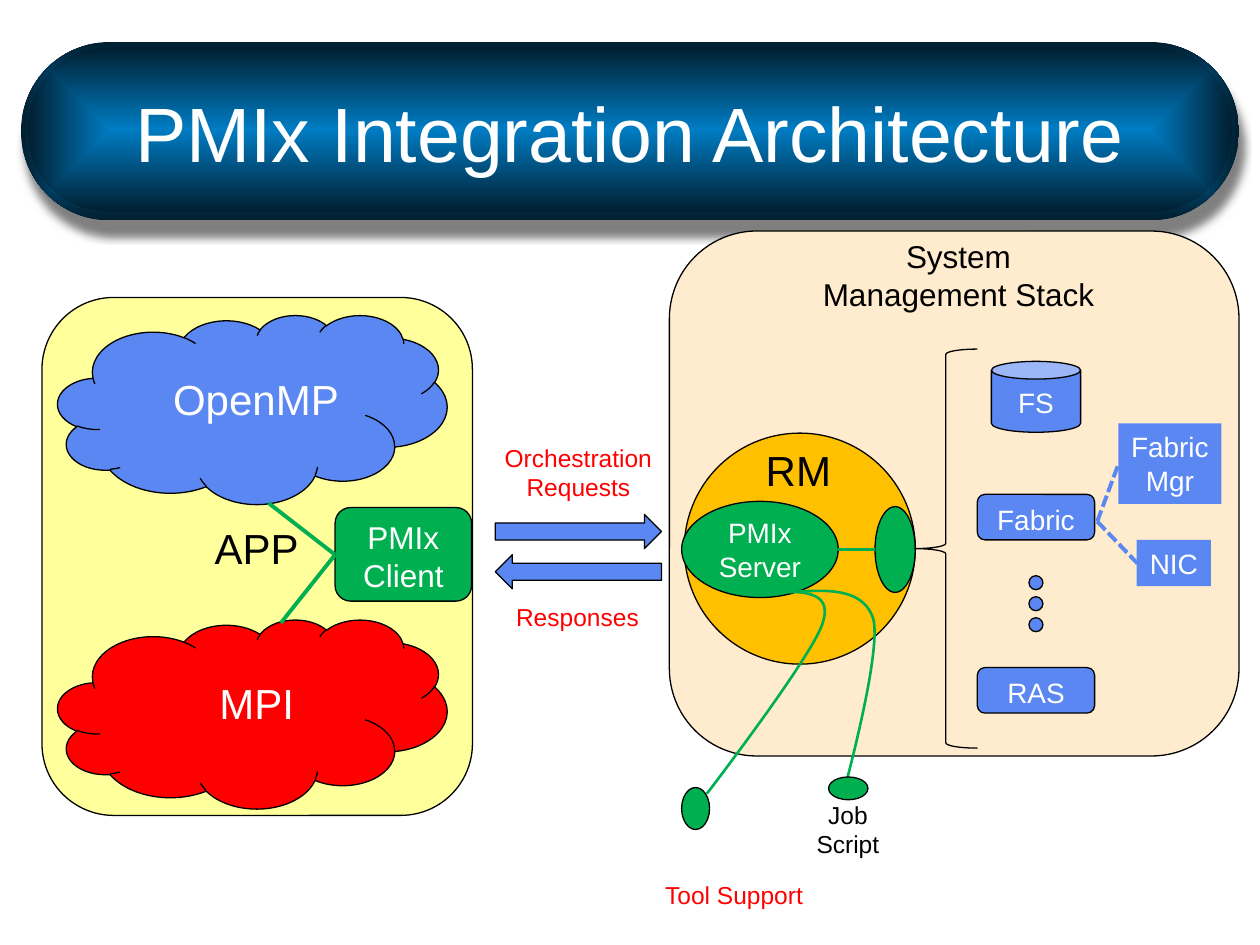
from pptx import Presentation
from pptx.dml.color import RGBColor
from pptx.enum.dml import MSO_LINE
from pptx.enum.shapes import MSO_CONNECTOR, MSO_SHAPE
from pptx.enum.text import MSO_ANCHOR, MSO_AUTO_SIZE, PP_ALIGN
from pptx.oxml import parse_xml
from pptx.oxml.ns import nsdecls, qn
from pptx.util import Pt

BLUE, GREEN, RED = "5B87F2", "00B050", "FF0000"
BLACK, WHITE = "000000", "FFFFFF"
ROUND, OVAL = MSO_SHAPE.ROUNDED_RECTANGLE, MSO_SHAPE.OVAL

GRADIENT = f"""<a:gradFill {nsdecls('a')} rotWithShape="1"><a:gsLst>
<a:gs pos="0"><a:srgbClr val="007CC3"/></a:gs>
<a:gs pos="100000"><a:srgbClr val="011F30"/></a:gs></a:gsLst>
<a:path path="shape"><a:fillToRect l="50000" t="50000" r="50000" b="50000"/></a:path>
</a:gradFill>"""
SHADOW = f"""<a:outerShdw {nsdecls('a')} blurRad="63500" dist="116840" dir="4620000"
algn="ctr" rotWithShape="0"><a:srgbClr val="000000"><a:alpha val="50000"/></a:srgbClr>
</a:outerShdw>"""


def rgb(code):
    return RGBColor.from_string(code)


def write(frame, text, size, color, align=PP_ALIGN.CENTER):
    frame.text = text
    look = {"size": Pt(size), "name": "Arial"}
    for para in frame.paragraphs:
        para.alignment = align
        for key, value in look.items():
            setattr(para.font, key, value)
        para.font.color.rgb = rgb(color)


def fit(frame):
    """Let the box grow with its unwrapped text."""
    look = {"word_wrap": False, "auto_size": MSO_AUTO_SIZE.SHAPE_TO_FIT_TEXT,
            "vertical_anchor": MSO_ANCHOR.TOP}
    for key, value in look.items():
        setattr(frame, key, value)


def stroke(line, color, width):
    line.color.rgb = rgb(color)
    line.width = Pt(width)


def shape(slide, kind, box, fill=None, edge=BLACK):
    item = slide.shapes.add_shape(kind, *map(Pt, box))
    item.shadow.inherit = False
    if fill:
        item.fill.solid()
        item.fill.fore_color.rgb = rgb(fill)
    else:
        item.fill.background()
    if edge:
        stroke(item.line, edge, 0.75)
    else:
        item.line.fill.background()
    return item


def node(slide, kind, box, fill, text, size, anchor=MSO_ANCHOR.TOP):
    item = shape(slide, kind, box, fill)
    write(item.text_frame, text, size, WHITE)
    item.text_frame.vertical_anchor = anchor


def tag(slide, box, text):
    """Blue borderless box sized to its text."""
    item = shape(slide, MSO_SHAPE.RECTANGLE, box, BLUE, None)
    fit(item.text_frame)
    write(item.text_frame, text, 16, WHITE)


def label(slide, box, text, size, color=BLACK):
    frame = slide.shapes.add_textbox(*map(Pt, box)).text_frame
    fit(frame)
    write(frame, text, size, color)


def link(slide, start, end, color=GREEN, width=2.25, dash=None):
    item = slide.shapes.add_connector(MSO_CONNECTOR.STRAIGHT, *map(Pt, start + end))
    stroke(item.line, color, width)
    if dash:
        item.line.dash_style = dash
    item.element.spPr.append(parse_xml(f"<a:effectLst {nsdecls('a')}/>"))


def bezier(a, b, c, d, steps=24):
    """Points along a cubic curve, without its first one."""
    for i in range(1, steps + 1):
        t = i / steps
        u = 1 - t
        yield tuple(Pt(u**3 * p + 3 * u * u * t * q + 3 * u * t * t * r + t**3 * s)
                    for p, q, r, s in zip(a, b, c, d))


def curve(slide, points):
    """Green open curve; each three points after the first make one cubic."""
    build = slide.shapes.build_freeform(*map(Pt, points[0]))
    for i in range(0, len(points) - 1, 3):
        build.add_line_segments(bezier(*points[i:i + 4]), close=False)
    item = build.convert_to_shape()
    item.shadow.inherit = False
    item.fill.background()
    stroke(item.line, GREEN, 1.5)


def banner(slide):
    for box, shade in (((12, 24, 696, 102), True), ((16, 27, 688, 94), False)):
        pill = shape(slide, ROUND, box, edge=None)
        pill.adjustments[0] = 0.5
        props = pill.element.spPr
        props.replace(props.find(qn("a:noFill")), parse_xml(GRADIENT))
        if shade:
            props.find(qn("a:effectLst")).append(parse_xml(SHADOW))
    title = slide.shapes.title
    place = {"left": 54, "top": 30, "width": 612, "height": 90}
    for key, value in place.items():
        setattr(title, key, Pt(value))
    title.text_frame.vertical_anchor = MSO_ANCHOR.MIDDLE
    write(title.text_frame, "PMIx Integration Architecture", 44, WHITE)
    slide.shapes.element.append(title.element)


def app(slide):
    panel = shape(slide, ROUND, (24, 170, 246, 296), "FFFF00")
    tint = panel.element.spPr.find(qn("a:solidFill"))[0]
    tint.append(parse_xml(f'<a:alpha {nsdecls("a")} val="39000"/>'))
    for top, fill in ((180, BLUE), (354, RED)):
        shape(slide, MSO_SHAPE.CLOUD, (33, top, 222.5, 108), fill)
    node(slide, ROUND, (191.5, 290, 78, 53.5), GREEN, "PMIx\nClient", 18)
    label(slide, (115, 295, 63.5, 36), "APP", 24)
    label(slide, (118, 383.5, 57.5, 36), "MPI", 24, WHITE)
    label(slide, (91, 210, 110.5, 36), "OpenMP", 24, WHITE)
    for start in ((153.5, 287.5), (160.5, 356)):
        link(slide, start, (191.5, 317))


def calls(slide):
    label(slide, (281, 249.5, 99, 41), "Orchestration\nRequests", 14, RED)
    label(slide, (287.5, 340.5, 85, 24.5), "Responses", 14, RED)
    for kind, top in ((MSO_SHAPE.RIGHT_ARROW, 294), (MSO_SHAPE.LEFT_ARROW, 317)):
        shape(slide, kind, (283, top, 95, 19.5), BLUE)


def stack(slide):
    shape(slide, ROUND, (382.5, 132, 325.5, 300), "FFEBCD")
    label(slide, (462, 132, 171.5, 51), "System\nManagement Stack", 18)
    shape(slide, OVAL, (391, 247.5, 132, 132), "FFC000")
    label(slide, (430, 250.5, 52.5, 36), "RM", 24)
    shape(slide, OVAL, (500, 289.5, 23, 49), GREEN)
    shape(slide, MSO_SHAPE.LEFT_BRACE, (522.5, 199.5, 36, 228))
    node(slide, MSO_SHAPE.CAN, (566.5, 206.5, 51, 40.5), BLUE, "FS", 16)
    for top, text in ((282.5, "Fabric"), (381.5, "RAS")):
        node(slide, ROUND, (558.5, top, 67, 26), BLUE, text, 16)
    for i in range(3):
        shape(slide, OVAL, (588, 329 + 12 * i, 8, 8), BLUE)
    tag(slide, (649.5, 308.5, 42.5, 26.5), "NIC")
    tag(slide, (639, 242, 59, 46), "Fabric\nMgr")
    for end in ((639, 265.5), (650, 322)):
        link(slide, (627, 298), end, BLUE, dash=MSO_LINE.SQUARE_DOT)
    node(slide, OVAL, (389.5, 286.5, 89.5, 55), GREEN, "PMIx\nServer", 16,
         MSO_ANCHOR.MIDDLE)
    link(slide, (479, 314), (500, 314), width=1.5)


def tools(slide):
    shape(slide, OVAL, (389.5, 450, 16, 24), GREEN)
    curve(slide, [(441.5, 338), (458.5, 338), (476.5, 337.5), (470, 356.5),
                  (463.5, 376), (404, 453.5), (404, 453.5)])
    curve(slide, [(451, 338.5), (471.5, 337), (493, 335.5), (499, 353.5),
                  (504, 371), (484, 445.5), (484, 445.5)])
    label(slide, (454.5, 453.5, 60, 41), "Job\nScript", 14)
    shape(slide, OVAL, (473.5, 444, 22.5, 13), GREEN)
    label(slide, (372.5, 499.5, 94, 24.5), "Tool Support", 14, RED)


def main():
    deck = Presentation()
    deck.slide_width, deck.slide_height = Pt(720), Pt(540)
    slide = deck.slides.add_slide(deck.slide_layouts[5])
    for part in (banner, stack, app, calls, tools):
        part(slide)
    deck.save("out.pptx")


if __name__ == "__main__":
    main()
